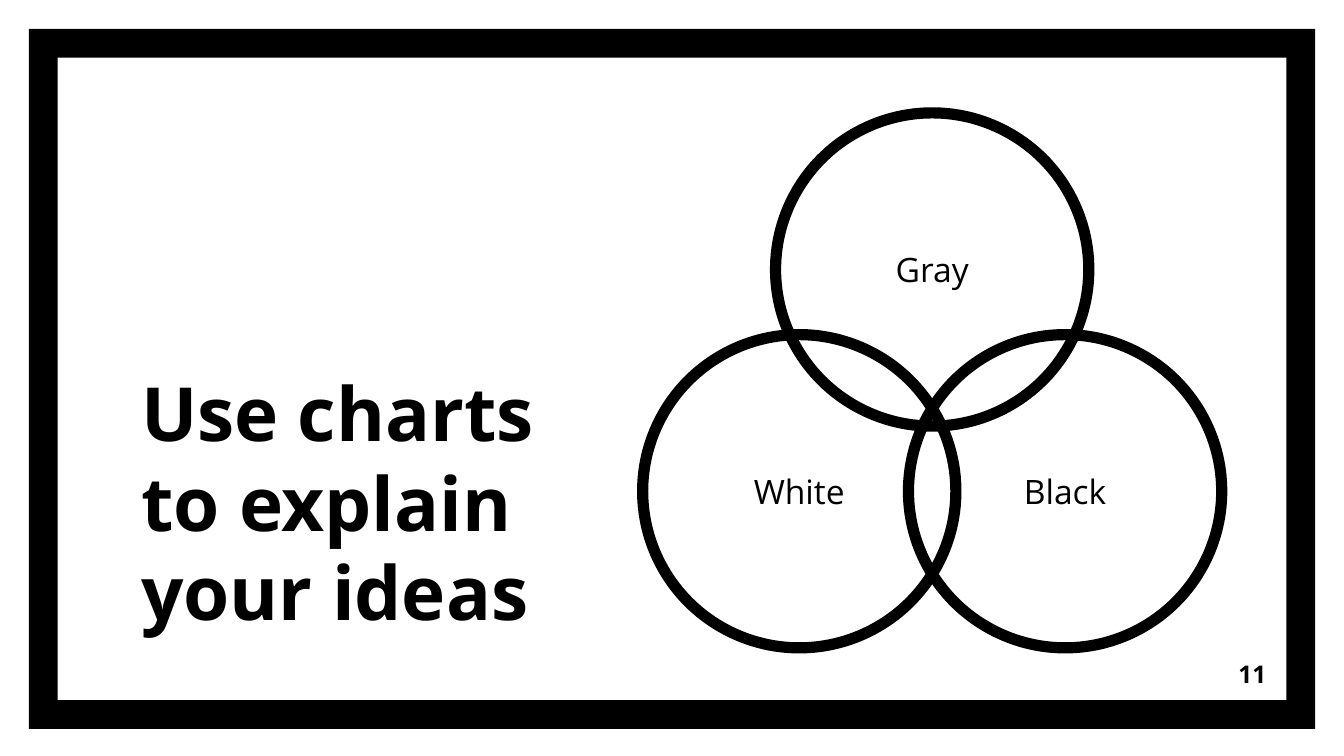
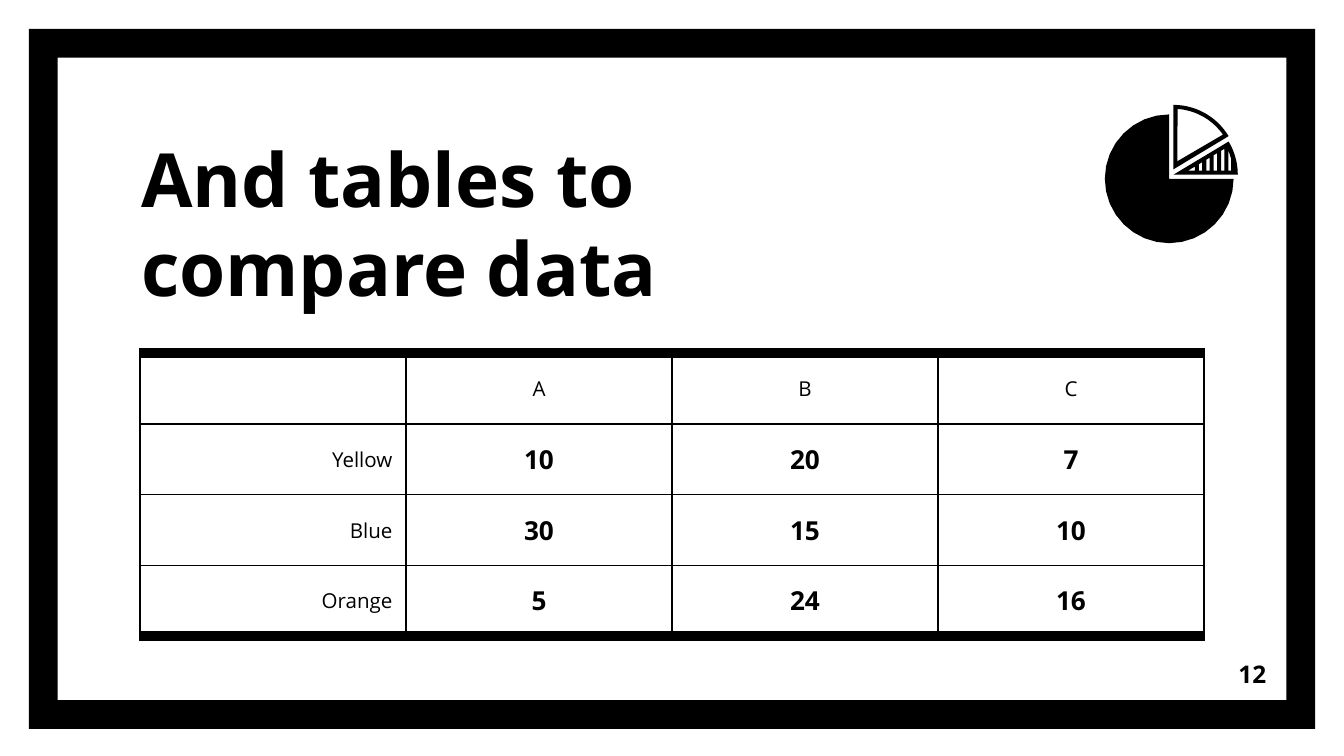
"""Builds two slides: a Venn diagram and a comparison table."""
from dataclasses import dataclass
from math import cos, radians, sin

from lxml.etree import SubElement
from pptx import Presentation
from pptx.dml.color import RGBColor
from pptx.enum.shapes import MSO_SHAPE as SHAPE
from pptx.enum.text import MSO_ANCHOR as ANCHOR, MSO_AUTO_SIZE as FIT, PP_ALIGN as ALIGN
from pptx.oxml.ns import qn
from pptx.util import Pt


@dataclass(frozen=True)
class Theme:
    ink: RGBColor = RGBColor(0, 0, 0)
    font: str = "Open Sans"
    title: float = 40
    label: float = 18
    value: float = 14
    number: float = 13
    header: float = 11
    thick: float = 6
    thin: float = 0.75
    pad: float = 7.2
    cell_pad: float = 5


def box(*lengths):
    return [Pt(n) for n in lengths]


def assign(target, values):
    for name, value in values.items():
        setattr(target, name, value)


def arc(cx, cy, radius, start, end, steps=24):
    angles = [radians(start + (end - start) * i / steps) for i in range(steps + 1)]
    return [(cx + radius * cos(a), cy + radius * sin(a)) for a in angles]


class Deck:
    def __init__(self, theme):
        self.theme = theme
        self.prs = Presentation()
        assign(self.prs, {"slide_width": Pt(720), "slide_height": Pt(405)})

    def slide(self, title, number, *place):
        self.s = self.prs.slides.add_slide(self.prs.slide_layouts[5])
        frame = self.shape(SHAPE.FRAME, 15.5, 15.5, 689, 375)
        frame.adjustments[0] = 0.041
        self.fill(frame)
        ph = self.s.shapes.title
        assign(ph, dict(zip(("left", "top", "width", "height"), box(*place))))
        self.text(ph.text_frame, title, self.theme.title, True, ALIGN.LEFT, ANCHOR.BOTTOM)
        tb = self.s.shapes.add_textbox(*box(642.2, 345.6, 43.2, 31))
        self.text(tb.text_frame, number, self.theme.number, True, ALIGN.RIGHT)

    def text(self, tf, text, size, bold=False, align=ALIGN.CENTER, anchor=ANCHOR.MIDDLE):
        pad = Pt(self.theme.pad)
        assign(tf, {"word_wrap": True, "auto_size": FIT.NONE, "vertical_anchor": anchor,
                    "margin_left": pad, "margin_right": pad,
                    "margin_top": pad, "margin_bottom": pad})
        self.run(tf, text, size, bold, align)

    def run(self, tf, text, size, bold, align):
        p = tf.paragraphs[0]
        p.alignment = align
        r = p.add_run()
        r.text = text
        assign(r.font, {"name": self.theme.font, "size": Pt(size), "bold": bold})
        r.font.color.rgb = self.theme.ink

    def shape(self, kind, *place):
        sp = self.s.shapes.add_shape(kind, *box(*place))
        sp.shadow.inherit = False
        return sp

    def fill(self, sp):
        sp.fill.solid()
        sp.fill.fore_color.rgb = self.theme.ink
        sp.line.fill.background()

    def ring(self, label, x, y, size):
        sp = self.shape(SHAPE.OVAL, x, y, size, size)
        sp.fill.background()
        sp.line.color.rgb = self.theme.ink
        sp.line.width = Pt(self.theme.thick)
        self.text(sp.text_frame, label, self.theme.label)

    def outline(self, *contours):
        first, *holes = [[box(*point) for point in c] for c in contours]
        builder = self.s.shapes.build_freeform(*first[0])
        builder.add_line_segments(first[1:])
        for hole in holes:
            builder.move_to(*hole[0])
            builder.add_line_segments(hole[1:])
        sp = builder.convert_to_shape()
        sp.shadow.inherit = False
        self.fill(sp)

    def borders(self, cell, top, bottom):
        thin = self.theme.thin
        tc_pr = cell._tc.get_or_add_tcPr()
        for i, (side, width) in enumerate(zip("LRTB", (thin, thin, top, bottom))):
            ln = SubElement(tc_pr, qn(f"a:ln{side}"), w=str(Pt(width)))
            tc_pr.insert(i, ln)
            SubElement(SubElement(ln, qn("a:solidFill")), qn("a:srgbClr"), val=str(self.theme.ink))

    def table(self, rows, x, y, col_width, row_height):
        t = self.theme
        n_rows, n_cols = len(rows), len(rows[0])
        tbl = self.s.shapes.add_table(
            n_rows, n_cols, *box(x, y, n_cols * col_width, n_rows * row_height)).table
        assign(tbl, {"first_row": False, "horz_banding": False})
        for col in tbl.columns:
            col.width = Pt(col_width)
        for i, row in enumerate(rows):
            tbl.rows[i].height = Pt(row_height)
            for j, text in enumerate(row):
                cell = tbl.cell(i, j)
                assign(cell, {"vertical_anchor": ANCHOR.MIDDLE,
                              "margin_left": Pt(t.pad), "margin_right": Pt(t.pad),
                              "margin_top": Pt(t.cell_pad), "margin_bottom": Pt(t.cell_pad)})
                cell.fill.background()
                self.borders(cell, t.thin if i else t.thick,
                             t.thick if i == n_rows - 1 else t.thin)
                if text:
                    is_value = i > 0 and j > 0
                    self.run(cell.text_frame, text, t.value if is_value else t.header,
                             is_value, ALIGN.CENTER if j else ALIGN.RIGHT)

    def pie_icon(self):
        radius = 34.5
        pie, striped, hollow = (626.4, 95.8), (628.6, 93.6), (628.6, 90.7)
        base, first_left, first_right, pitch, bar = 91.4, 636.5, 640.1, 3.96, 1.8

        def edge(x):
            return x, base - 0.6 * (x - first_left)

        self.outline([pie, *arc(*pie, radius, 0, 270), pie])
        holes = [[(first_left, base), edge(first_right), (first_right, base), (first_left, base)]]
        for k in range(1, 5):
            right = first_right + k * pitch
            left = right - bar
            holes.append([(left, base), edge(left), edge(right), (right, base), (left, base)])
        holes.append([(658.1, base), (658.1, 80.6), (659.5, 85), (659.5, base), (658.1, base)])
        self.outline([striped, *arc(*striped, radius, -31, 0), striped], *holes)
        corner = (630.7, 86.4)
        self.outline([hollow, *arc(*hollow, radius, -90, -31), hollow],
                     [corner, *arc(*hollow, 32.4, -86, -35), corner])


def main():
    deck = Deck(Theme())

    deck.slide("Use charts to explain your ideas", "11", 68.4, 240.5, 254.2, 107.3)
    size, middle, offset = 167.8, 415.5, 71.2
    deck.ring("Gray", middle, 60.5, size)
    deck.ring("White", middle - offset, 179.3, size)
    deck.ring("Black", middle + offset, 179.3, size)

    deck.slide("And tables to compare data", "12", 68.4, 67, 401, 107.3)
    deck.table([("", "A", "B", "C"),
                ("Yellow", "10", "20", "7"),
                ("Blue", "30", "15", "10"),
                ("Orange", "5", "24", "16")], 75, 189.2, 142.5, 37.9)
    deck.pie_icon()

    deck.prs.save("out.pptx")


if __name__ == "__main__":
    main()
